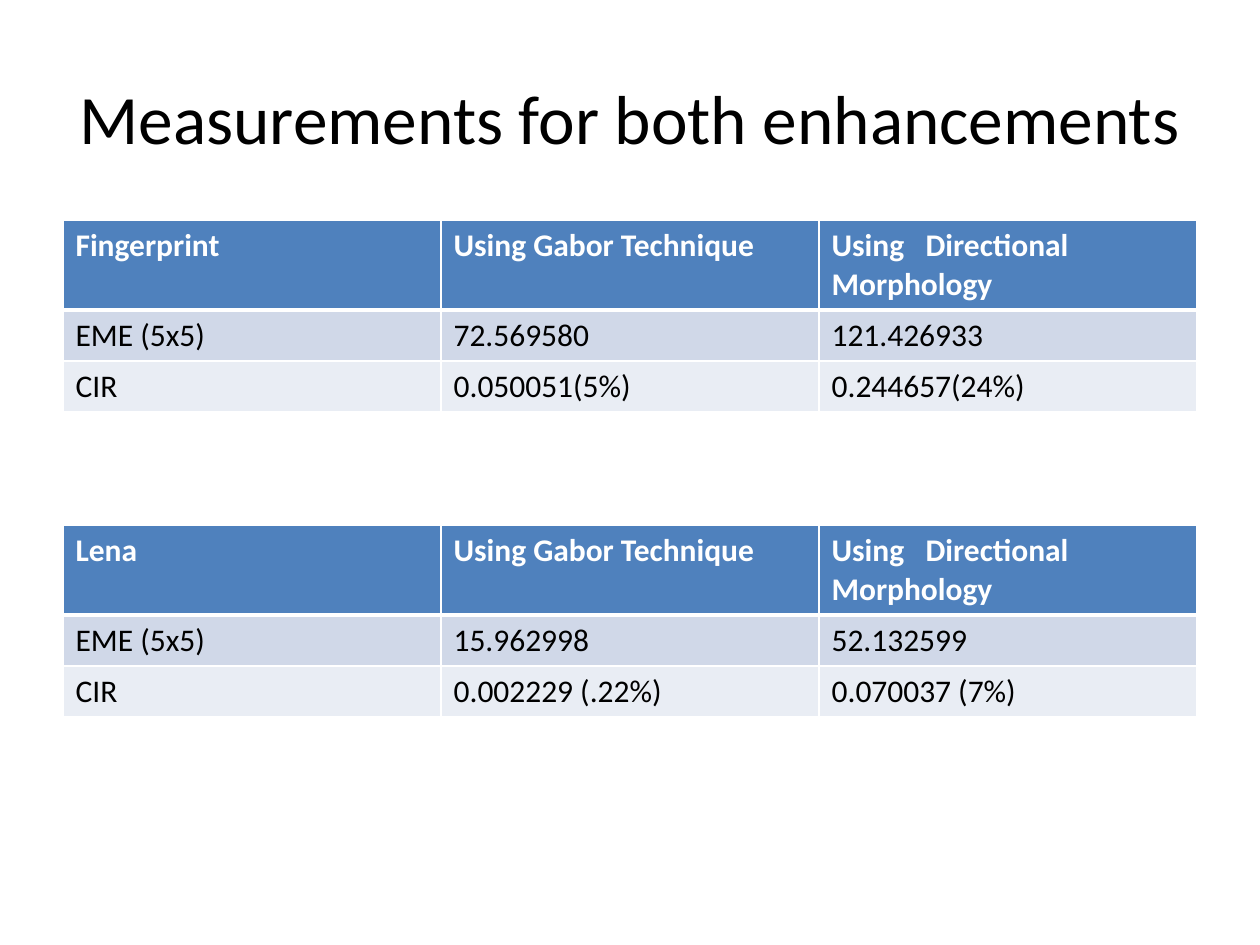
"""Build a slide with two tables comparing enhancement measurements."""
import pptx
import pptx.dml.color
import pptx.enum.text
import pptx.oxml
import pptx.oxml.ns
import pptx.util

Pt = pptx.util.Pt

HEADER = ("Using Gabor Technique", "Using   Directional Morphology")
MEASUREMENTS = [
    (126, [("Fingerprint", *HEADER),
           ("EME (5x5)", "72.569580", "121.426933"),
           ("CIR", "0.050051(5%)", "0.244657(24%)")]),
    (300.24, [("Lena", *HEADER),
              ("EME (5x5)", "15.962998", "52.132599"),
              ("CIR", "0.002229 (.22%)", "0.070037 (7%)")]),
]


def color(value):
    return pptx.dml.color.RGBColor.from_string(value)


class SlideBuilder:
    font_name = "Calibri"
    border_color = "FFFFFF"
    row_fills = ("4F81BD", "D0D8E8", "E9EDF4")
    row_heights = (50.4, 29.2, 29.2)
    column_width = 216

    def __init__(self, slide):
        self.slide = slide

    def format_text(self, paragraph, text, text_color, **format_values):
        run = paragraph.add_run()
        run.text = text
        run.font.color.rgb = color(text_color)
        for name, value in {"name": self.font_name, **format_values}.items():
            setattr(run.font, name, value)

    def title(self, text, left, top, width, height):
        shape = self.slide.shapes.title
        box = {"left": left, "top": top, "width": width, "height": height}
        for name, value in box.items():
            setattr(shape, name, Pt(value))
        frame = shape.text_frame
        frame_format = {
            "word_wrap": True,
            "auto_size": pptx.enum.text.MSO_AUTO_SIZE.NONE,
            "vertical_anchor": pptx.enum.text.MSO_ANCHOR.MIDDLE,
        }
        for name, value in frame_format.items():
            setattr(frame, name, value)
        paragraph = frame.paragraphs[0]
        paragraph.alignment = pptx.enum.text.PP_ALIGN.CENTER
        self.format_text(paragraph, text, "000000", size=Pt(39.6))

    def borders(self, cell, widths):
        properties = cell._tc.get_or_add_tcPr()
        namespace = pptx.oxml.ns.nsdecls("a")
        for side, width in widths.items():
            properties.append(pptx.oxml.parse_xml(
                f'<a:ln{side} {namespace} w="{Pt(width)}"><a:solidFill>'
                f'<a:srgbClr val="{self.border_color}"/></a:solidFill></a:ln{side}>'))

    def table(self, rows, left, top):
        width = self.column_width * len(rows[0])
        table = self.slide.shapes.add_table(
            len(rows), len(rows[0]), Pt(left), Pt(top),
            Pt(width), Pt(sum(self.row_heights))).table
        for column in table.columns:
            column.width = Pt(self.column_width)
        for index, texts in enumerate(rows):
            table.rows[index].height = Pt(self.row_heights[index])
            is_header = index == 0
            widths = {"L": 1, "R": 1, "T": 3 if index == 1 else 1,
                      "B": 3 if is_header else 1}
            for cell, text in zip(table.rows[index].cells, texts):
                self.borders(cell, widths)
                cell.fill.solid()
                cell.fill.fore_color.rgb = color(self.row_fills[index])
                self.format_text(cell.text_frame.paragraphs[0], text,
                                 "FFFFFF" if is_header else "000000",
                                 size=Pt(18), bold=is_header)


def main():
    presentation = pptx.Presentation()
    presentation.slide_width = Pt(720)
    presentation.slide_height = Pt(540)
    slide = presentation.slides.add_slide(presentation.slide_layouts[5])
    builder = SlideBuilder(slide)
    builder.title("Measurements for both enhancements", 36, 21.6, 648, 90)
    for top, rows in MEASUREMENTS:
        builder.table(rows, 36, top)
    presentation.save("out.pptx")


if __name__ == "__main__":
    main()
